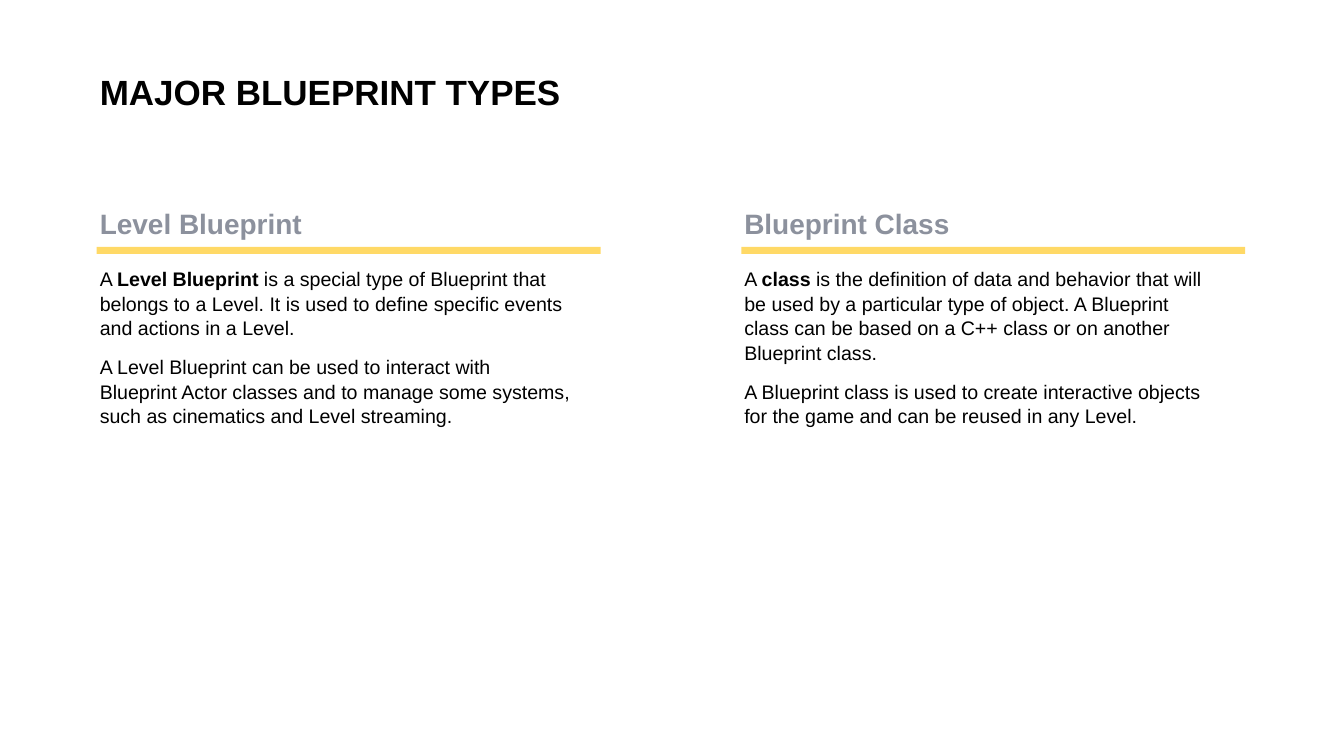
"""Build the slide that compares the two major Blueprint types."""

from dataclasses import dataclass

import pptx
import pptx.dml.color
import pptx.enum.shapes
import pptx.enum.text
import pptx.oxml.ns
import pptx.shapes.base
import pptx.slide
import pptx.text.text
import pptx.util

Inches = pptx.util.Inches
Pt = pptx.util.Pt

BLACK = pptx.dml.color.RGBColor(0x00, 0x00, 0x00)
GRAY = pptx.dml.color.RGBColor(0x8C, 0x91, 0x9D)
YELLOW = pptx.dml.color.RGBColor(0xFF, 0xD9, 0x66)
FONT = "Arial"
LEFT = 1.92
COLUMN_STEP = 12.79
COMPARISON_LAYOUT = 4


@dataclass
class Span:
    """A stretch of text with one weight."""

    text: str
    bold: bool = False


@dataclass
class Style:
    """The look shared by all text in one placeholder."""

    size: int
    color: pptx.dml.color.RGBColor
    space_before: int = 0
    wrap: bool = True


@dataclass
class Column:
    """One Blueprint type with its heading and description."""

    heading: str
    heading_width: float
    body_height: float
    paragraphs: list[list[Span]]


TITLE_STYLE = Style(50, BLACK, wrap=False)
HEADING_STYLE = Style(40, GRAY, wrap=False)
BODY_STYLE = Style(28, BLACK, space_before=20)

COLUMNS = [
    Column("Level Blueprint", 4.16, 3.22, [
        [Span("A "), Span("Level Blueprint", True),
         Span(" is a special type of Blueprint that belongs to a Level. "
              "It is used to define specific events and actions in a Level.")],
        [Span("A Level Blueprint can be used to interact with Blueprint Actor classes "
              "and to manage some systems, such as cinematics and Level streaming.")],
    ]),
    Column("Blueprint Class", 4.23, 3.69, [
        [Span("A "), Span("class", True),
         Span(" is the definition of data and behavior that will be used by a "
              "particular type of object. A Blueprint class can be based on a "
              "C++ class or on another Blueprint class.")],
        [Span("A Blueprint class is used to create interactive objects for the game "
              "and can be reused in any Level.")],
    ]),
]


def place(shape: pptx.shapes.base.BaseShape, left: float, top: float,
          width: float, height: float) -> None:
    """Move and size a shape, in inches."""
    shape.left, shape.top = Inches(left), Inches(top)
    shape.width, shape.height = Inches(width), Inches(height)


def remove_bullet(para: pptx.text.text._Paragraph) -> None:
    """Clear the inherited bullet and indent of a paragraph."""
    properties = para._p.get_or_add_pPr()
    properties.set("marL", "0")
    properties.set("indent", "0")
    properties.append(pptx.oxml.parse_xml(
        f"<a:buNone {pptx.oxml.ns.nsdecls('a')}/>"))


def write(shape: pptx.shapes.base.BaseShape, paragraphs: list[list[Span]],
          style: Style) -> None:
    """Fill a placeholder with formatted paragraphs."""
    frame = shape.text_frame
    frame.margin_left = frame.margin_right = Inches(0.06)
    frame.margin_top = frame.margin_bottom = Inches(0.06)
    frame.vertical_anchor = pptx.enum.text.MSO_ANCHOR.TOP
    frame.auto_size = pptx.enum.text.MSO_AUTO_SIZE.SHAPE_TO_FIT_TEXT
    frame.word_wrap = style.wrap
    for index, spans in enumerate(paragraphs):
        para = frame.add_paragraph() if index else frame.paragraphs[0]
        para.alignment = pptx.enum.text.PP_ALIGN.LEFT
        para.line_spacing = 1.05
        para.space_before = Pt(style.space_before if index else 0)
        remove_bullet(para)
        for span in spans:
            run = para.add_run()
            run.text = span.text
            run.font.name = FONT
            run.font.size = Pt(style.size)
            run.font.bold = span.bold
            run.font.color.rgb = style.color


def draw_column(page: pptx.slide.Slide, index: int, column: Column) -> None:
    """Draw a heading, its underline and the description."""
    left = LEFT + index * COLUMN_STEP
    heading = page.placeholders[1 + 2 * index]
    place(heading, left, 4, column.heading_width, 0.79)
    write(heading, [[Span(column.heading, True)]], HEADING_STYLE)
    body = page.placeholders[2 + 2 * index]
    place(body, left, 5.21, 9.5, column.body_height)
    write(body, column.paragraphs, BODY_STYLE)
    bar = page.shapes.add_shape(
        pptx.enum.shapes.MSO_SHAPE.RECTANGLE,
        Inches(left), Inches(4.9), Inches(10), Inches(0.14))
    bar.shadow.inherit = False
    bar.fill.solid()
    bar.fill.fore_color.rgb = YELLOW
    bar.line.fill.background()


def main() -> None:
    """Create and save the deck."""
    deck = pptx.Presentation()
    deck.slide_width, deck.slide_height = Inches(26.67), Inches(15)
    page = deck.slides.add_slide(deck.slide_layouts[COMPARISON_LAYOUT])
    title = page.shapes.title
    place(title, LEFT, 1.3, 9.35, 0.95)
    write(title, [[Span("MAJOR BLUEPRINT TYPES", True)]], TITLE_STYLE)
    for index, column in enumerate(COLUMNS):
        draw_column(page, index, column)
    deck.save("out.pptx")


if __name__ == "__main__":
    main()
